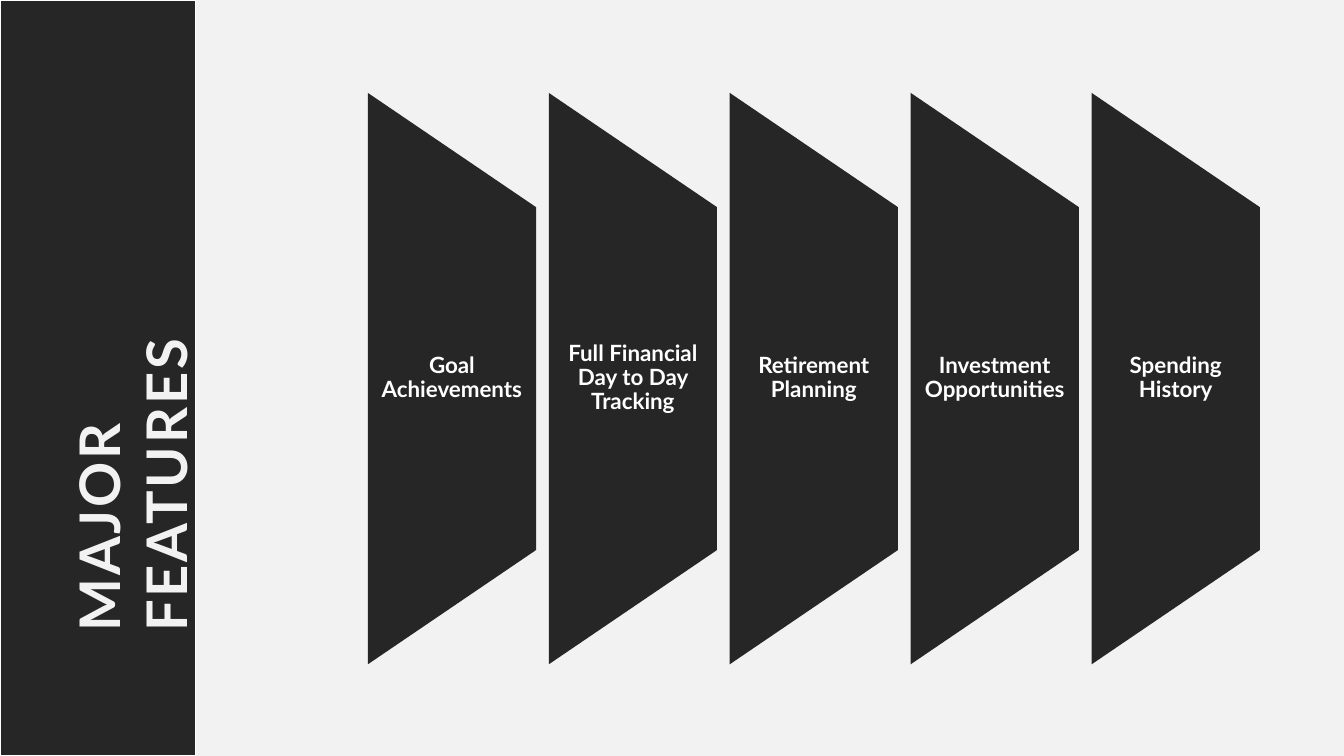
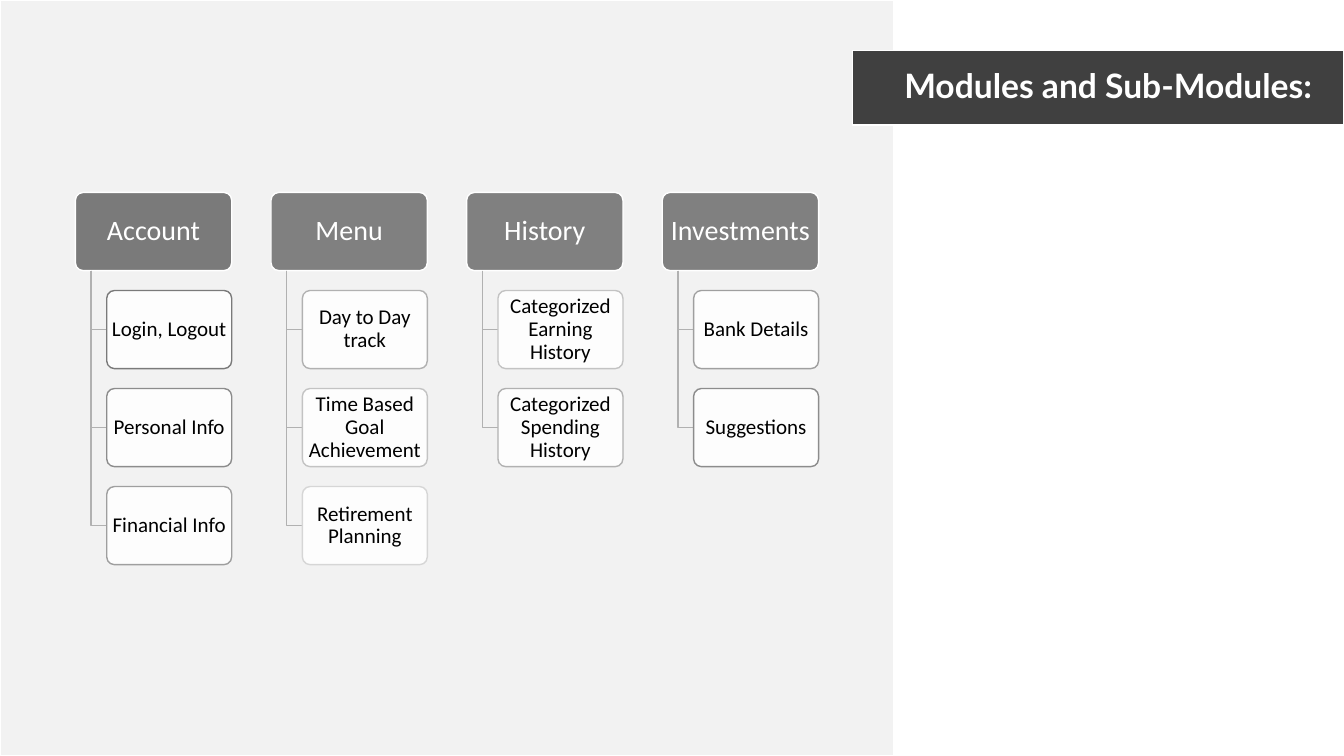
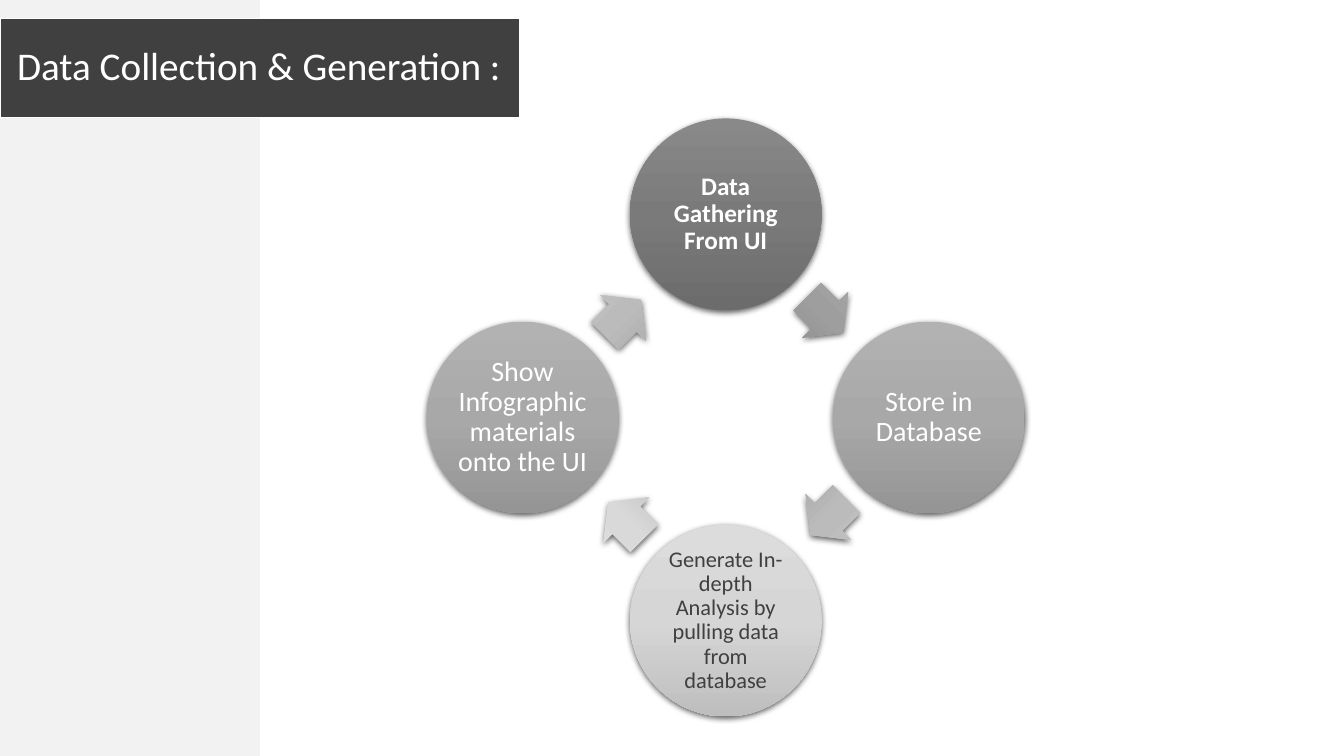
from lxml import etree
from pptx import Presentation
from pptx.dml.color import RGBColor
from pptx.enum.shapes import MSO_SHAPE
from pptx.enum.text import MSO_ANCHOR, MSO_AUTO_SIZE, PP_ALIGN
from pptx.oxml import parse_xml
from pptx.oxml.ns import nsdecls, qn
from pptx.util import Cm, Pt

RECT, ROUND = MSO_SHAPE.RECTANGLE, MSO_SHAPE.ROUNDED_RECTANGLE
OVAL, ARROW = MSO_SHAPE.OVAL, MSO_SHAPE.RIGHT_ARROW
TRAPEZOID = MSO_SHAPE.FLOWCHART_MANUAL_OPERATION
LEFT, CENTER = PP_ALIGN.LEFT, PP_ALIGN.CENTER
MIDDLE, TOP = MSO_ANCHOR.MIDDLE, MSO_ANCHOR.TOP
W, H = 33.87, 19.05
COLORS = {
    "white": "FFFFFF", "black": "000000", "paper": "F2F2F2", "dark": "262626",
    "band": "404040", "account": "7A7A7A", "header": "808080", "elbow": "B1B1B1",
}
HEAD_FONT, BODY_FONT = "Lato", "Calibri"

prs = Presentation()
prs.slide_width, prs.slide_height = Cm(W), Cm(H)
blank = prs.slide_layouts[6]


def add_box(s, kind, x, y, w, h, fill=None, line=None):
    """Add a shadowless preset shape, measured in cm, with hex colours."""
    sp = s.shapes.add_shape(kind, Cm(x), Cm(y), Cm(w), Cm(h))
    sp.shadow.inherit = False
    if fill:
        sp.fill.solid()
        sp.fill.fore_color.rgb = RGBColor.from_string(fill)
    if line:
        sp.line.color.rgb = RGBColor.from_string(line)
        sp.line.width = Pt(1)
    else:
        sp.line.fill.background()
    return sp


def write(sp, text, size, color, font=BODY_FONT, bold=False, align=CENTER,
          anchor=MIDDLE, spacing=0.9, inset=(0.06, 0.06)):
    """Fill a shape with one paragraph; inset is left/right, top/bottom in cm."""
    tf = sp.text_frame
    tf.word_wrap = True
    tf.vertical_anchor = anchor
    tf.margin_left = tf.margin_right = Cm(inset[0])
    tf.margin_top = tf.margin_bottom = Cm(inset[1])
    p = tf.paragraphs[0]
    p.text, p.alignment, p.line_spacing = text, align, spacing
    p.font.name, p.font.size, p.font.bold = font, Pt(size), bold
    p.font.color.rgb = RGBColor.from_string(color)


# Slide 1: major features
s = prs.slides.add_slide(blank)
s.background.fill.solid()
s.background.fill.fore_color.rgb = RGBColor.from_string(COLORS["paper"])
add_box(s, RECT, 0, 0, 4.93, H, COLORS["dark"], COLORS["white"])
title = s.shapes.add_textbox(Cm(-4.19), Cm(8.53), Cm(13.31), Cm(1.96))
title.rotation = 270
write(title, "MAJOR FEATURES", 40, COLORS["paper"], HEAD_FONT, True, LEFT, TOP, 1,
      (0.25, 0.13))
title.text_frame.auto_size = MSO_AUTO_SIZE.SHAPE_TO_FIT_TEXT
title.text_frame.paragraphs[0].runs[0].font._element.set("spc", "200")

features = ["Goal Achievements", "Full Financial Day to Day Tracking",
            "Retirement Planning", "Investment Opportunities", "Spending History"]
length, width, mid_y = 14.4, 4.24, 9.54
for i, feature in enumerate(features):
    x = 9.27 + 4.56 * i
    panel = add_box(s, TRAPEZOID, x + (width - length) / 2, mid_y - width / 2,
                    length, width, COLORS["dark"])
    panel.rotation = 270
    label = s.shapes.add_textbox(Cm(x), Cm(mid_y - 4.32), Cm(width), Cm(8.64))
    write(label, feature, 16, COLORS["white"], HEAD_FONT, True, inset=(0.28, 0))

# Slide 2: modules
s = prs.slides.add_slide(blank)
add_box(s, RECT, 0, 0, 22.53, H, COLORS["paper"], COLORS["white"])
band = add_box(s, RECT, 21.49, 1.27, W - 21.49, 1.88, COLORS["band"], COLORS["white"])
write(band, "Modules and Sub-Modules:", 24, COLORS["white"], HEAD_FONT, True, LEFT,
      inset=(1.3, 0.13))
band.text_frame.margin_right = 0

modules = [
    ("Account", COLORS["account"], [("Login, Logout", "7A7A7A"),
                                    ("Personal Info", "8C8C8C"),
                                    ("Financial Info", "9F9F9F")]),
    ("Menu", COLORS["header"], [("Day to Day track", "B1B1B1"),
                                ("Time Based Goal Achievement", "C3C3C3"),
                                ("Retirement Planning", "D6D6D6")]),
    ("History", COLORS["header"], [("Categorized Earning History", "C3C3C3"),
                                   ("Categorized Spending History", "B1B1B1")]),
    ("Investments", COLORS["header"], [("Bank Details", "9F9F9F"),
                                       ("Suggestions", "8C8C8C")]),
]
top, box_w, box_h, row_step, indent = 4.85, 3.94, 1.97, 2.47, 0.79
for col, (module, fill, children) in enumerate(modules):
    x = 1.9 + 4.93 * col
    header = add_box(s, ROUND, x, top, box_w, box_h, fill, COLORS["white"])
    header.adjustments[0] = 0.1
    write(header, module, 20, COLORS["white"])
    for row, (child, outline) in enumerate(children, 1):
        y = top + row_step * row
        spine, child_mid = Cm(x + indent / 2), Cm(y + box_h / 2)
        path_builder = s.shapes.build_freeform(spine, Cm(top + box_h))
        path_builder.add_line_segments(
            [(spine, child_mid), (Cm(x + indent), child_mid)], close=False)
        elbow = path_builder.convert_to_shape()
        elbow.shadow.inherit = False
        elbow.fill.background()
        elbow.line.color.rgb = RGBColor.from_string(COLORS["elbow"])
        elbow.line.width = Pt(1)
        box = add_box(s, ROUND, x + indent, y, box_w - indent, box_h,
                      COLORS["white"], outline)
        box.adjustments[0] = 0.1
        color = box.element.spPr.find(qn("a:solidFill"))[0]
        etree.SubElement(color, qn("a:alpha")).set("val", "90000")
        write(box, child, 15, COLORS["black"])

# Slide 3: data cycle
s = prs.slides.add_slide(blank)
add_box(s, RECT, 0, 0, 6.55, H, COLORS["paper"])
band = add_box(s, RECT, 0, 0.46, 13.11, 2.51, COLORS["band"], COLORS["white"])
write(band, "Data Collection & Generation :", 28, COLORS["white"], align=LEFT,
      inset=(0.43, 0.13))

# Text, size, text colour, bold, circle gradient, gradient of the arrow after it
steps = [
    ("Data Gathering From UI", 18, COLORS["white"], True,
     ("898989", "7A7A7A", "6C6C6C"), ("A8A8A8", "9E9E9E", "8C8C8C")),
    ("Store in Database", 20, COLORS["white"], False,
     ("B2B2B2", "A8A8A8", "959595"), ("C3C3C3", "BBBBBB", "A6A6A6")),
    ("Generate In-depth Analysis by pulling data from database", 16,
     COLORS["band"], False,
     ("DCDCDC", "D6D6D6", "BEBEBE"), ("DFDFDF", "D9D9D9", "C0C0C0")),
    ("Show Infographic materials onto the UI", 20, COLORS["white"], False,
     ("B2B2B2", "A8A8A8", "959595"), ("C3C3C3", "BBBBBB", "A6A6A6")),
]
center_x, center_y, circle_d, arrow_w, arrow_h = 18.29, 10.52, 4.83, 1.28, 1.63
circle_dx, circle_dy = 0, -5.12
arrow_dx, arrow_dy = 2.51, -2.59
for i, (text, size, color, bold, circle_grad, arrow_grad) in enumerate(steps):
    circle = add_box(s, OVAL, center_x + circle_dx - circle_d / 2,
                     center_y + circle_dy - circle_d / 2, circle_d, circle_d)
    write(circle, text, size, color, bold=bold)
    arrow = add_box(s, ARROW, center_x + arrow_dx - arrow_w / 2,
                    center_y + arrow_dy - arrow_h / 2, arrow_w, arrow_h)
    arrow.adjustments[0], arrow.adjustments[1] = 0.6, 0.5
    arrow.rotation = 45 + 90 * i
    for sp, grad in ((circle, circle_grad), (arrow, arrow_grad)):
        stops = "".join(f'<a:gs pos="{pos}"><a:srgbClr val="{c}"/></a:gs>'
                        for pos, c in zip((0, 50000, 100000), grad))
        spPr = sp.element.spPr
        spPr.find(qn("a:prstGeom")).addnext(parse_xml(
            f'<a:gradFill {nsdecls("a")} rotWithShape="1"><a:gsLst>{stops}</a:gsLst>'
            '<a:lin ang="5400000" scaled="0"/></a:gradFill>'))
        spPr.find(qn("a:effectLst")).append(parse_xml(
            f'<a:outerShdw {nsdecls("a")} blurRad="57150" dist="19050" dir="5400000" '
            'algn="ctr" rotWithShape="0"><a:srgbClr val="000000">'
            '<a:alpha val="63000"/></a:srgbClr></a:outerShdw>'))
    # A quarter turn clockwise leads to the next step
    circle_dx, circle_dy = -circle_dy, circle_dx
    arrow_dx, arrow_dy = -arrow_dy, arrow_dx

prs.save("out.pptx")
